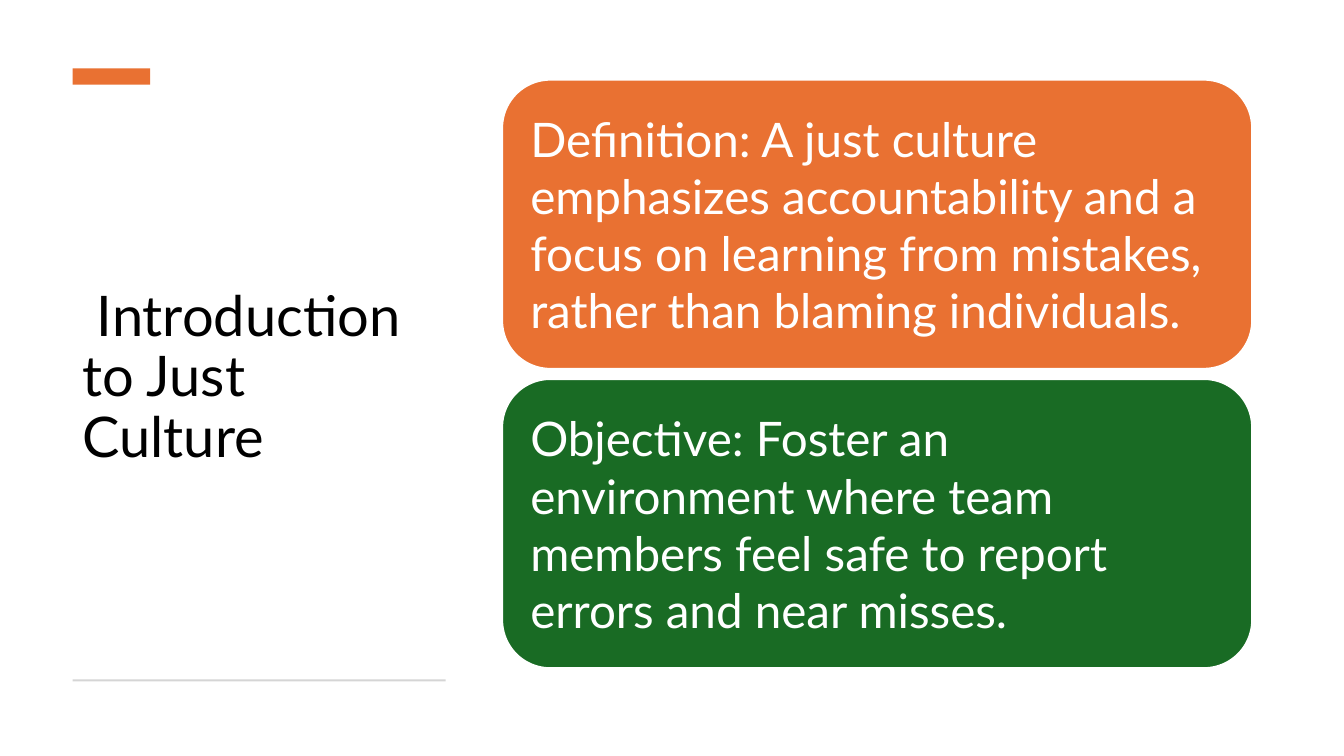
from pptx import Presentation
from pptx.dml.color import RGBColor
from pptx.enum.shapes import MSO_SHAPE
from pptx.enum.text import MSO_ANCHOR, PP_ALIGN
from pptx.util import Inches, Pt


def color(value):
    return RGBColor.from_string(value)


def add_block(shape, left, top, width, height, fill):
    sp = s.shapes.add_shape(shape, Inches(left), Inches(top), Inches(width), Inches(height))
    sp.shadow.inherit = False
    sp.fill.solid()
    sp.fill.fore_color.rgb = color(fill)
    sp.line.fill.background()
    return sp


prs = Presentation()
prs.slide_width, prs.slide_height = Inches(13.33), Inches(7.5)
s = prs.slides.add_slide(prs.slide_layouts[6])

title = s.shapes.add_textbox(Inches(0.72), Inches(1.05), Inches(3.7), Inches(5.41))
tf = title.text_frame
tf.word_wrap = True
tf.vertical_anchor = MSO_ANCHOR.MIDDLE
p = tf.paragraphs[0]
p.text = " Introduction to Just Culture"
p.line_spacing = 0.9
p.font.name, p.font.size = "Lato", Pt(40)
p.font.color.rgb = color("000000")

add_block(MSO_SHAPE.RECTANGLE, 0.72, 0.68, 0.77, 0.16, "E97132")
add_block(MSO_SHAPE.RECTANGLE, 0.72, 6.74, 3.7, 0.02, "D5D5D5")

cards = [
    ("E97132", "Definition: A just culture emphasizes accountability and a focus on "
               "learning from mistakes, rather than blaming individuals."),
    ("196B24", "Objective: Foster an environment where team members feel safe to "
               "report errors and near misses."),
]
for i, (fill, text) in enumerate(cards):
    card = add_block(MSO_SHAPE.ROUNDED_RECTANGLE, 4.98, 0.79 + i * 2.97, 7.44, 2.87, fill)
    card.line.color.rgb = color("FFFFFF")
    card.line.width = Pt(1.5)
    tf = card.text_frame
    tf.word_wrap = True
    tf.vertical_anchor = MSO_ANCHOR.MIDDLE
    tf.margin_left = tf.margin_right = tf.margin_top = tf.margin_bottom = Inches(0.14)
    p = tf.paragraphs[0]
    p.text = text
    p.alignment = PP_ALIGN.LEFT
    p.font.name, p.font.size = "Lato", Pt(34)
    p.font.color.rgb = color("FFFFFF")

prs.save("out.pptx")
